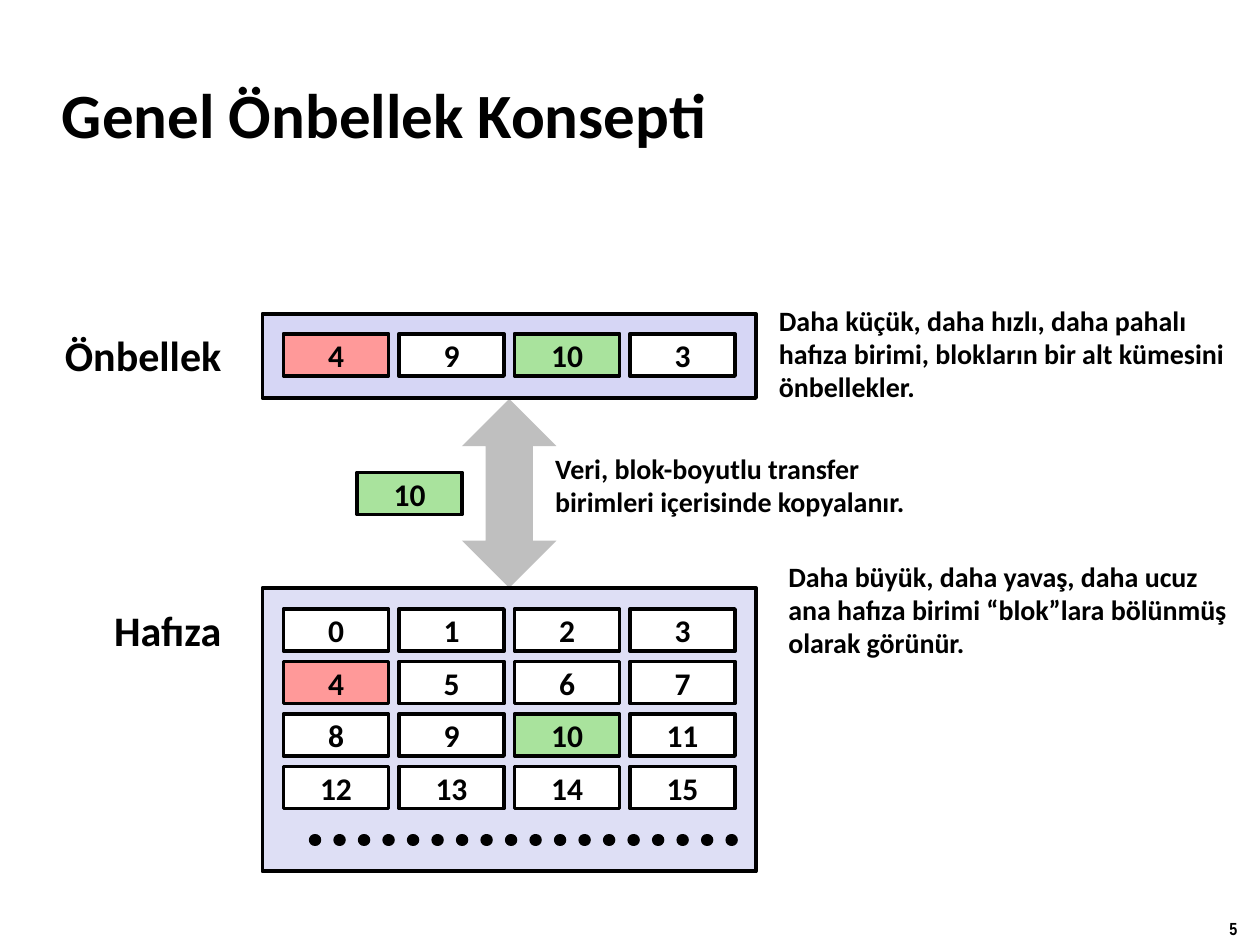
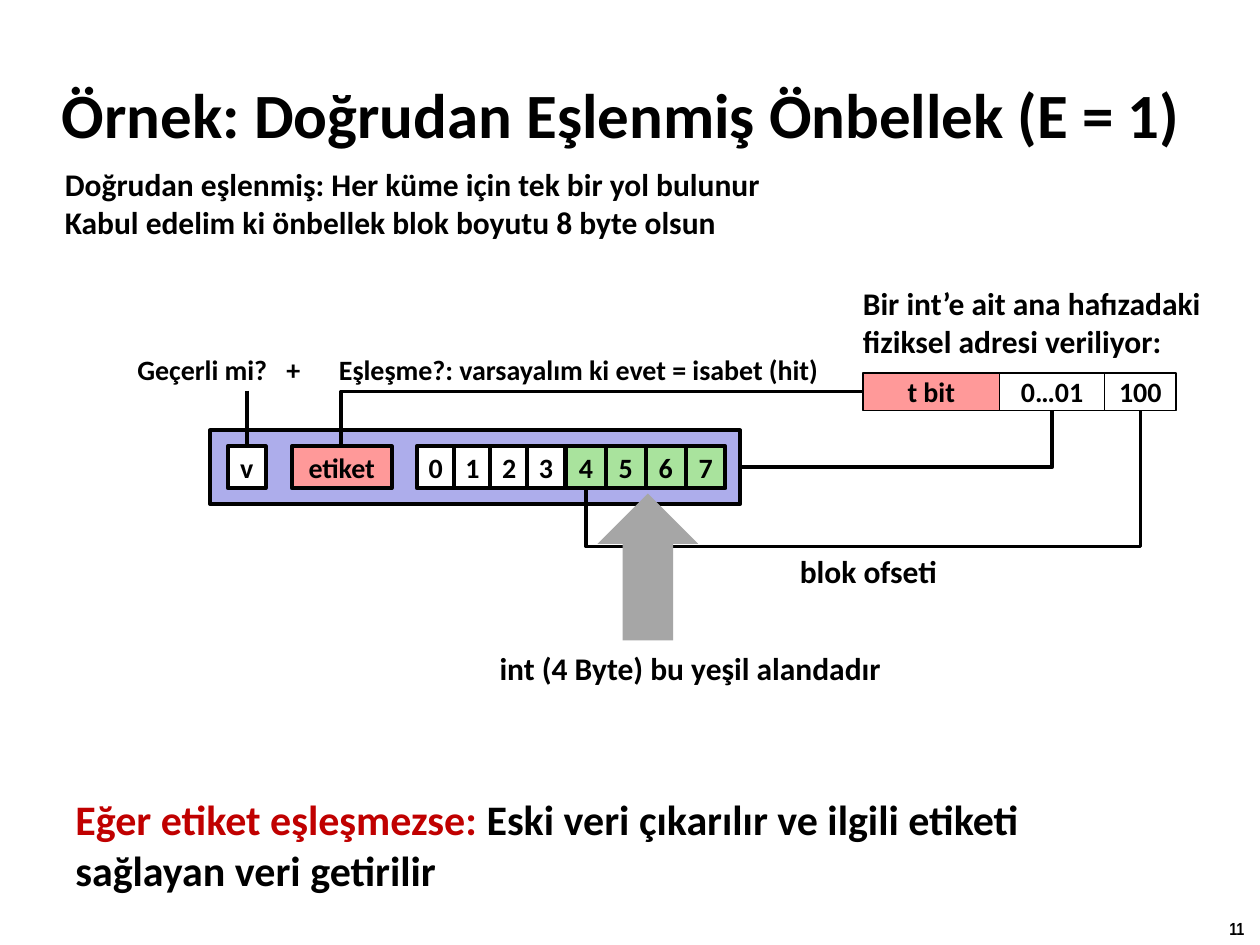
"""Build two slides on caches: the general concept and a direct-mapped example."""
from pptx import Presentation
from pptx.dml.color import RGBColor
from pptx.enum.dml import MSO_LINE
from pptx.enum.shapes import MSO_CONNECTOR as CXN, MSO_SHAPE as SHAPE
from pptx.enum.text import MSO_ANCHOR as ANCHOR, PP_ALIGN as ALIGN
from pptx.oxml.ns import qn
from pptx.util import Emu, Pt
from lxml.etree import SubElement


class Theme:
    ink, white, red = "000000", "FFFFFF", "C00000"
    pink, green = "FF9999", "A9E39D"
    cache, memory, line_box = "D6D6F5", "DEDFF5", "ADADEB"
    light_arrow, dark_arrow = "BFBFBF", "A6A6A6"
    font, number_font = "Calibri", "Arial Narrow"
    title, heading, body, note, number = 36, 24, 18, 16, 10
    border, thin, wire, dots = 2.25, 1, 2, 7


def px(*values):
    """Turn lengths in px, 120 to the inch, into EMU."""
    return [Emu(int(v * 7620)) for v in values]


def put(s, kind, x, y, w, h, text="", size=Theme.body, fill=None, border=None,
        wrap=False, spacing=None, font=Theme.font, tab=None):
    """Add a preset shape, or a text box when kind is None."""
    if kind is None:
        sp = s.shapes.add_textbox(*px(x, y, w, h))
    else:
        sp = s.shapes.add_shape(kind, *px(x, y, w, h))
        sp.shadow.inherit = False
        sp.fill.solid()
        sp.fill.fore_color.rgb = RGBColor.from_string(fill)
        if border:
            sp.line.color.rgb = RGBColor.from_string(Theme.ink)
            sp.line.width = Pt(border)
        else:
            sp.line.fill.background()
    if not text:
        return sp
    tf = sp.text_frame
    tf.word_wrap = wrap
    tf.vertical_anchor = ANCHOR.MIDDLE if kind or spacing else ANCHOR.TOP
    tf.text = text
    for p in tf.paragraphs:
        p.alignment = ALIGN.CENTER if kind else ALIGN.LEFT
        if spacing:
            p.line_spacing = spacing
        if tab:
            tabs = SubElement(p._p.get_or_add_pPr(), qn("a:tabLst"))
            SubElement(tabs, qn("a:tab"), pos=str(px(tab)[0]), algn="l")
        p.font.name, p.font.size, p.font.bold = font, Pt(size), True
        p.font.color.rgb = RGBColor.from_string(Theme.ink)
    return sp


prs = Presentation()
prs.slide_width, prs.slide_height = px(1200, 900)
slides = []
for title, width, number in (
    ("Genel Önbellek Konsepti", 996, "5"),
    ("Örnek: Doğrudan Eşlenmiş Önbellek (E = 1)", 1114, "11"),
):
    s = prs.slides.add_slide(prs.slide_layouts[5])
    sp = s.shapes.title
    sp.left, sp.top, sp.width, sp.height = px(47, 58, width, 100)
    tf = sp.text_frame
    tf.text, tf.vertical_anchor = title, ANCHOR.MIDDLE
    p = tf.paragraphs[0]
    p.alignment = ALIGN.LEFT
    p.font.name, p.font.size, p.font.bold = Theme.font, Pt(Theme.title), True
    p.font.color.rgb = RGBColor.from_string(Theme.ink)
    put(s, None, 1159, 868, 41, 32, number, Theme.number, font=Theme.number_font)
    slides.append(s)

s = slides[0]
put(s, SHAPE.UP_DOWN_ARROW, 440, 380, 90, 180, fill=Theme.light_arrow)
put(s, SHAPE.RECTANGLE, 250, 560, 470, 270, fill=Theme.memory, border=Theme.border)
put(s, SHAPE.RECTANGLE, 250, 299, 470, 80, fill=Theme.cache, border=Theme.border)

cells = [(270 + 110 * (n % 4), 580 + 50 * (n // 4), n) for n in range(16)]
cells += [(270 + 110 * i, 318, n) for i, n in enumerate((4, 9, 10, 3))]
cells.append((340, 450, 10))
marked = {4: Theme.pink, 10: Theme.green}
for x, y, n in cells:
    put(s, SHAPE.RECTANGLE, x, y, 100, 40, str(n),
        fill=marked.get(n, Theme.white), border=Theme.border)

dots = s.shapes.add_connector(CXN.STRAIGHT, *px(300, 800, 700, 800))
dots.line.dash_style = MSO_LINE.ROUND_DOT
dots.get_or_add_ln().set("cap", "rnd")

put(s, None, 50, 308, 175, 60, "Önbellek", Theme.heading)
put(s, None, 97, 570, 127, 60, "Hafıza", Theme.heading)
for x, y, w, h, text, wrap in (
    (739, 528, 448, 107, "Daha büyük, daha yavaş, daha ucuz\n"
     "ana hafıza birimi “blok”lara bölünmüş\nolarak görünür.", False),
    (517, 425, 372, 76,
     "Veri, blok-boyutlu transfer birimleri içerisinde kopyalanır.", True),
    (730, 284, 460, 107, "Daha küçük, daha hızlı, daha pahalı\n"
     "hafıza birimi, blokların bir alt kümesini\nönbellekler.", False),
):
    put(s, None, x, y, w, h, text, Theme.note, wrap=wrap, spacing=0.98)

s = slides[1]
for x, w, text, fill in (
    (822, 130, "t bit", Theme.pink),
    (952, 100, "0…01", Theme.white),
    (1052, 68, "100", Theme.white),
):
    put(s, SHAPE.RECTANGLE, x, 355, w, 36, text, Theme.note, fill, Theme.thin)

put(s, SHAPE.RECTANGLE, 200, 410, 505, 70, fill=Theme.line_box, border=Theme.border)
parts = [(278, 95, "etiket", Theme.pink), (217, 36, "v", Theme.white)]
parts += [(397 + 35 * i, 36, str(i), Theme.white) for i in range(4)]
parts += [(539 + 38 * i, 38, str(i + 4), Theme.green) for i in range(4)]
for x, w, text, fill in parts:
    sp = put(s, SHAPE.RECTANGLE, x, 425, w, 40, text, Theme.note, fill, Theme.border)
    if text == "v":
        valid = sp

valid_wire = s.shapes.add_connector(CXN.STRAIGHT, *px(235, 372, 235, 425))
valid_wire.end_connect(valid, 0)
tag_wire = s.shapes.add_connector(CXN.ELBOW, *px(822, 373, 325, 425))
tag_wire._element.spPr.prstGeom.set("prst", "bentConnector2")
wires = [(dots, Theme.dots), (valid_wire, Theme.wire), (tag_wire, Theme.wire)]

for x1, y1, x2, y2, bend in ((1002, 391, 705, 445, None), (1086, 391, 558, 465, 175100)):
    w, h = y2 - y1, x1 - x2
    x, y = (x1 + x2 - w) / 2, (y1 + y2 - h) / 2
    wire = s.shapes.add_connector(CXN.ELBOW, *px(x, y, x + w, y + h))
    wire._element.spPr.xfrm.set("rot", "5400000")
    geom = wire._element.spPr.prstGeom
    if bend:
        guides = geom.get_or_add_avLst()
        SubElement(guides, qn("a:gd"), name="adj1", fmla=f"val {bend}")
    else:
        geom.set("prst", "bentConnector2")
    wires.append((wire, Theme.wire))

for wire, width in wires:
    wire.line.color.rgb = RGBColor.from_string(Theme.ink)
    wire.line.width = Pt(width)
    SubElement(wire._element.spPr, qn("a:effectLst"))

put(s, SHAPE.UP_ARROW, 569, 470, 96, 140, fill=Theme.dark_arrow)
put(s, None, 119, 330, 190, 44, "Geçerli mi?\t+", Theme.note, wrap=True, tab=142)
put(s, None, 311, 330, 491, 44, "Eşleşme?: varsayalım ki evet = isabet (hit)", Theme.note)
for x, y, w, h, text in (
    (810, 265, 349, 85, "Bir int’e ait ana hafızadaki\nfiziksel adresi veriliyor:"),
    (464, 612, 391, 48, "int (4 Byte) bu yeşil alandadır"),
    (750, 520, 156, 48, "blok ofseti"),
    (50, 151, 713, 85, "Doğrudan eşlenmiş: Her küme için tek bir yol bulunur\n"
     "Kabul edelim ki önbellek blok boyutu 8 byte olsun"),
):
    put(s, None, x, y, w, h, text)

sp = put(s, None, 60, 750, 941, 109,
         "Eğer etiket eşleşmezse: \nsağlayan veri getirilir", Theme.heading)
p = sp.text_frame.paragraphs[0]
p.runs[0].font.color.rgb = RGBColor.from_string(Theme.red)
r = p.add_run()
r.text = "Eski veri çıkarılır ve ilgili etiketi"

prs.save("out.pptx")
